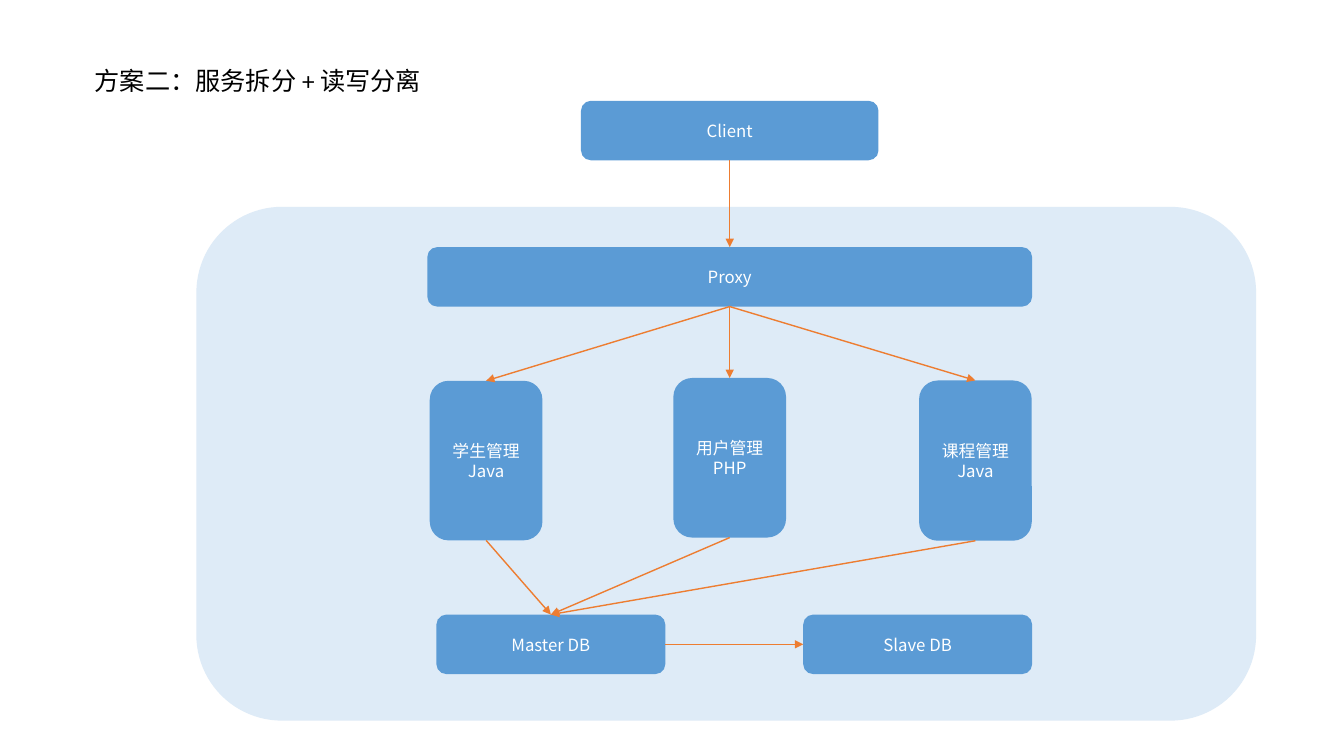
from lxml import etree
from pptx import Presentation
from pptx.dml.color import RGBColor
from pptx.enum import shapes, text
from pptx.oxml import ns
from pptx.util import Pt

WHITE = RGBColor(0xFF, 0xFF, 0xFF)
BLACK = RGBColor(0, 0, 0)
BLUE = RGBColor(0x5B, 0x9B, 0xD5)
PALE_BLUE = RGBColor(0xDE, 0xEB, 0xF7)
ORANGE = RGBColor(0xED, 0x7D, 0x31)
CJK_FONT = "Noto Sans CJK SC"
TOP, LEFT, BOTTOM, RIGHT = range(4)

prs = Presentation()
prs.slide_width, prs.slide_height = Pt(960), Pt(540)
slide = prs.slides.add_slide(prs.slide_layouts[5])


def write(holder, words, size=12, font=CJK_FONT, color=WHITE,
          align=text.PP_ALIGN.CENTER, anchor=text.MSO_ANCHOR.MIDDLE):
    frame = holder.text_frame
    frame.text = words
    frame.word_wrap = True
    frame.auto_size = text.MSO_AUTO_SIZE.NONE
    frame.vertical_anchor = anchor
    for paragraph in frame.paragraphs:
        paragraph.alignment = align
        for run in paragraph.runs:
            run.font.size = Pt(size)
            run.font.color.rgb = color
            run.font.name = font
            east_asian = etree.SubElement(run.font._element, ns.qn("a:ea"))
            east_asian.set("typeface", CJK_FONT)


def add_box(center, top, width, height, fill):
    box = slide.shapes.add_shape(
        shapes.MSO_SHAPE.ROUNDED_RECTANGLE,
        Pt(center - width / 2), Pt(top), Pt(width), Pt(height))
    box.shadow.inherit = False
    box.fill.solid()
    box.fill.fore_color.rgb = fill
    box.line.fill.background()
    return box


title = slide.shapes.title
title.left, title.top, title.width, title.height = Pt(60.5), Pt(43), Pt(250), Pt(29)
write(title, "方案二：服务拆分 + 读写分离", size=18, font="Calibri", color=BLACK,
      align=text.PP_ALIGN.LEFT, anchor=text.MSO_ANCHOR.TOP)

add_box(518.75, 147.75, 757, 367, PALE_BLUE)

axis = 521.25
parts = {}
for name, label, center, top, width, height in [
    ("client", "Client", axis, 72, 212.5, 42.5),
    ("proxy", "Proxy", axis, 176.5, 432, 42.5),
    ("students", "学生管理\nJava", 347.25, 272, 80.5, 114),
    ("users", "用户管理\nPHP", axis, 270, 80.5, 114),
    ("courses", "课程管理\nJava", 696.75, 271.75, 80.5, 114.5),
    ("master", "Master DB", 393.5, 439, 163.5, 42.5),
    ("slave", "Slave DB", 655.5, 439, 163.5, 42.5),
]:
    parts[name] = add_box(center, top, width, height, BLUE)
    write(parts[name], label)

services = ["students", "users", "courses"]
flows = [("client", BOTTOM, "proxy", TOP), ("master", RIGHT, "slave", LEFT)]
flows += [("proxy", BOTTOM, service, TOP) for service in services]
flows += [(service, BOTTOM, "master", TOP) for service in services]
for source, exit_side, target, entry_side in flows:
    arrow = slide.shapes.add_connector(shapes.MSO_CONNECTOR.STRAIGHT, 0, 0, 0, 0)
    arrow.begin_connect(parts[source], exit_side)
    arrow.end_connect(parts[target], entry_side)
    arrow.line.color.rgb = ORANGE
    arrow.line.width = Pt(1)
    etree.SubElement(arrow.line._get_or_add_ln(), ns.qn("a:tailEnd")).set("type", "triangle")
    etree.SubElement(arrow._element.spPr, ns.qn("a:effectLst"))

prs.save("out.pptx")
